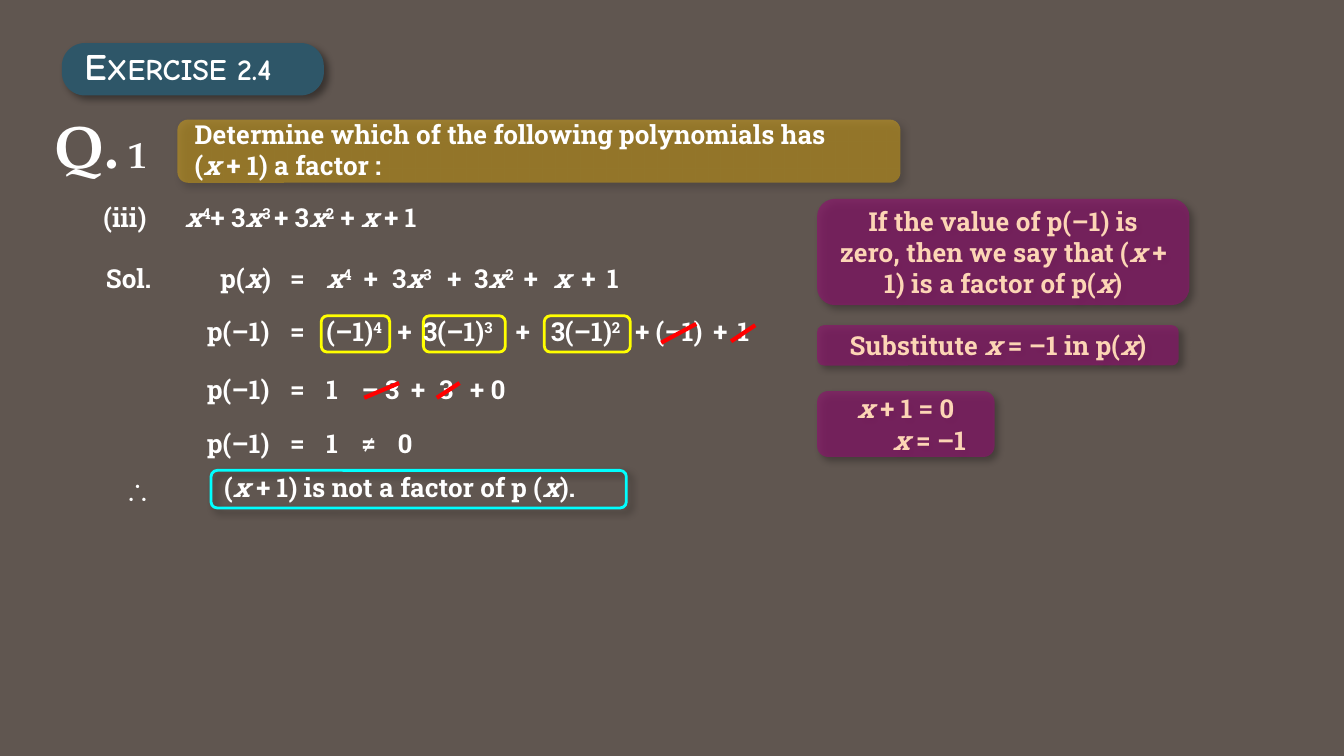
"""Builds the Exercise 2.4 factor theorem slide."""
from lxml.etree import SubElement
from pptx import Presentation
from pptx.dml.color import RGBColor as Color
from pptx.enum.shapes import MSO_CONNECTOR as Connector, MSO_SHAPE as Shape
from pptx.enum.text import MSO_ANCHOR as Anchor, MSO_AUTO_SIZE as AutoSize, PP_ALIGN as Align
from pptx.oxml.ns import qn
from pptx.util import Inches, Pt

COLORS = {
    "ground": "605650", "badge": "2E5668", "question": "FFC000", "hint": "89156B",
    "hint_text": "FCD5B5", "text": "FFFFFF", "term": "FFFF00", "answer": "00FFFF",
    "strike": "FF0000", "shadow": "000000",
}


def write(paragraph, text, color="text", size=14, lead=None, font="Roboto Slab", align=Align.LEFT):
    """Split text at bars: a lone x is italic, a leading ^ makes a superscript."""
    paragraph.alignment = align
    for index, part in enumerate(text.split("|")):
        span = paragraph.add_run()
        span.text = part.removeprefix("^")
        span.font.name = font
        span.font.size = Pt(lead if lead and index == 0 else size)
        span.font.bold = True
        span.font.italic = part == "x"
        span.font.color.rgb = Color.from_string(COLORS[color])
        if part.startswith("^"):
            span.font._element.set("baseline", "30000")


def add_panel(place, fill=None, alpha=None, line=None, shadow=False, kind=Shape.ROUNDED_RECTANGLE):
    panel = page.shapes.add_shape(kind, *map(Inches, place))
    panel.shadow.inherit = False
    properties = panel._element.spPr
    if fill:
        panel.fill.solid()
        panel.fill.fore_color.rgb = Color.from_string(COLORS[fill])
        if alpha:
            SubElement(properties.find(qn("a:solidFill"))[0], qn("a:alpha"), val=str(alpha * 1000))
    else:
        panel.fill.background()
    if line:
        panel.line.color.rgb = Color.from_string(COLORS[line])
        panel.line.width = Pt(1.5)
    else:
        panel.line.fill.background()
    if shadow:
        outer = SubElement(properties.find(qn("a:effectLst")), qn("a:outerShdw"),
                           blurRad=str(Pt(4)), dist=str(Pt(3)), dir=str(45 * 60000),
                           algn="tl", rotWithShape="0")
        tint = SubElement(outer, qn("a:srgbClr"), val=COLORS["shadow"])
        SubElement(tint, qn("a:alpha"), val="40000")
    return panel


deck = Presentation()
deck.slide_width = Inches(10)
deck.slide_height = Inches(10 * 9 / 16)
page = deck.slides.add_slide(deck.slide_layouts[6])

add_panel((0, 0, 10, deck.slide_height.inches), fill="ground", kind=Shape.RECTANGLE)
badge = add_panel((0.46, 0.32, 1.95, 0.39), fill="badge", shadow=True)
badge.adjustments[0] = 0.44
add_panel((1.32, 0.89, 5.38, 0.47), fill="question", alpha=38, shadow=True)
for left, width in [(2.39, 0.51), (3.15, 0.61), (4.05, 0.64)]:
    add_panel((left, 2.35, width, 0.27), line="term")
add_panel((1.57, 3.5, 3.09, 0.28), line="answer", shadow=True)

hints = [
    (1.48, 2.77, 0.79, ["If the value of p(–1) is zero, then we say that (|x| + 1) is a factor of p(|x|)"]),
    (2.42, 2.69, 0.3, ["Substitute |x| = –1 in p(|x|)"]),
    (2.91, 1.32, 0.49, ["x| + 1 = 0", "x| = –1"]),
]
for top, width, height, lines in hints:
    frame = add_panel((6.08, top, width, height), fill="hint", alpha=69, shadow=True).text_frame
    frame.word_wrap = True
    frame.vertical_anchor = Anchor.MIDDLE
    for index, text in enumerate(lines):
        para = frame.add_paragraph() if index else frame.paragraphs[0]
        para._p.get_or_add_pPr().set("marL", str(Inches(0.35 * index)))
        write(para, text, color="hint_text", align=Align.CENTER)

headings = [
    (0.31, 0.76, 1.07, 0.64, "Q.| 1", {"lead": 32, "size": 20, "font": "TeX Gyre Pagella"}),
    (0.53, 0.27, 1.85, 0.44, "E|XERCISE 2.4", {"lead": 20, "size": 16, "font": "Comic Neue"}),
    (1.35, 0.83, 5.35, 0.34, "Determine which of the following polynomials has", {"align": Align.JUSTIFY}),
    (1.35, 1.06, 1.88, 0.34, "(|x| + 1) a factor :", {"align": Align.JUSTIFY}),
    (0.83, 3.49, 0.37, 0.34, "∴", {"font": "Arial"}),
]
rows = {
    1.45: [(0.67, 2.98, "(iii)\t|x|^4|+ 3|x|^3 |+ 3|x|^2| + |x| + 1")],
    1.9: [(0.69, 0.59, "Sol."), (1.54, 0.58, "p(|x|)"), (2.06, 0.32, "="), (2.33, 0.41, "x|^4"),
          (2.61, 0.32, "+"), (2.82, 0.54, "3|x|^3"), (3.23, 0.32, "+"), (3.43, 0.54, "3|x|^2"),
          (3.8, 0.43, "+"), (4.02, 0.32, "x"), (4.23, 0.32, "+"), (4.42, 0.33, "1")],
    2.3: [(1.44, 0.68, "p(–1)"), (2.06, 0.32, "="), (2.33, 0.64, "(–1)|^4"), (2.86, 0.32, "+"),
          (3.05, 0.77, "3(–1)|^3"), (3.74, 0.32, "+"), (4, 0.77, "3(–1)|^2"), (4.63, 0.43, "+"),
          (4.78, 0.56, "(–1)"), (5.21, 0.32, "+"), (5.39, 0.33, "1")],
    2.73: [(1.44, 0.68, "p(–1)"), (2.06, 0.32, "="), (2.33, 0.33, "1"), (2.59, 0.5, "– 3"),
           (2.96, 0.32, "+"), (3.17, 0.33, "3"), (3.4, 0.52, "+ 0")],
    3.13: [(1.44, 0.68, "p(–1)"), (2.06, 0.32, "="), (2.33, 0.33, "1"), (2.59, 0.32, "≠"),
           (2.86, 0.33, "0")],
    3.46: [(1.57, 3.16, "(|x| + 1) is not a factor of p (|x|).")],
}
entries = headings + [(left, top, width, 0.34, text, {})
                      for top, row in rows.items() for left, width, text in row]
for left, top, width, height, text, style in entries:
    box = page.shapes.add_textbox(*map(Inches, (left, top, width, height)))
    box.text_frame.word_wrap = "align" in style
    box.text_frame.auto_size = AutoSize.SHAPE_TO_FIT_TEXT
    para = box.text_frame.paragraphs[0]
    if "\t" in text:
        stops = SubElement(para._p.get_or_add_pPr(), qn("a:tabLst"))
        SubElement(stops, qn("a:tab"), pos=str(Inches(0.61)), algn="l")
    write(para, text, **style)

strikes = [(5.18, 2.41, 4.92, 2.55), (5.62, 2.42, 5.44, 2.54),
           (2.97, 2.85, 2.71, 2.96), (3.42, 2.85, 3.25, 2.96)]
for ends in strikes:
    strike = page.shapes.add_connector(Connector.STRAIGHT, *map(Inches, ends))
    strike.line.color.rgb = Color.from_string(COLORS["strike"])
    strike.line.width = Pt(2.25)
    SubElement(strike._element.spPr, qn("a:effectLst"))

deck.save("out.pptx")
